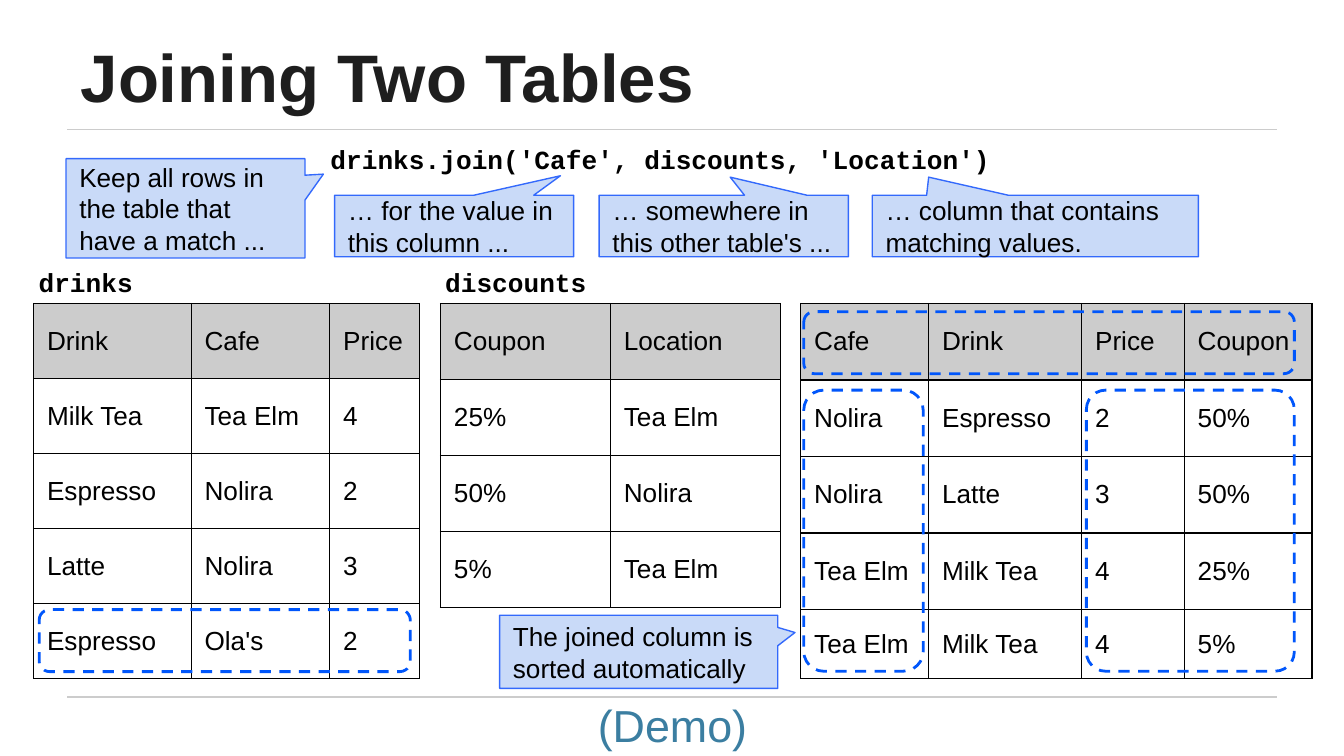
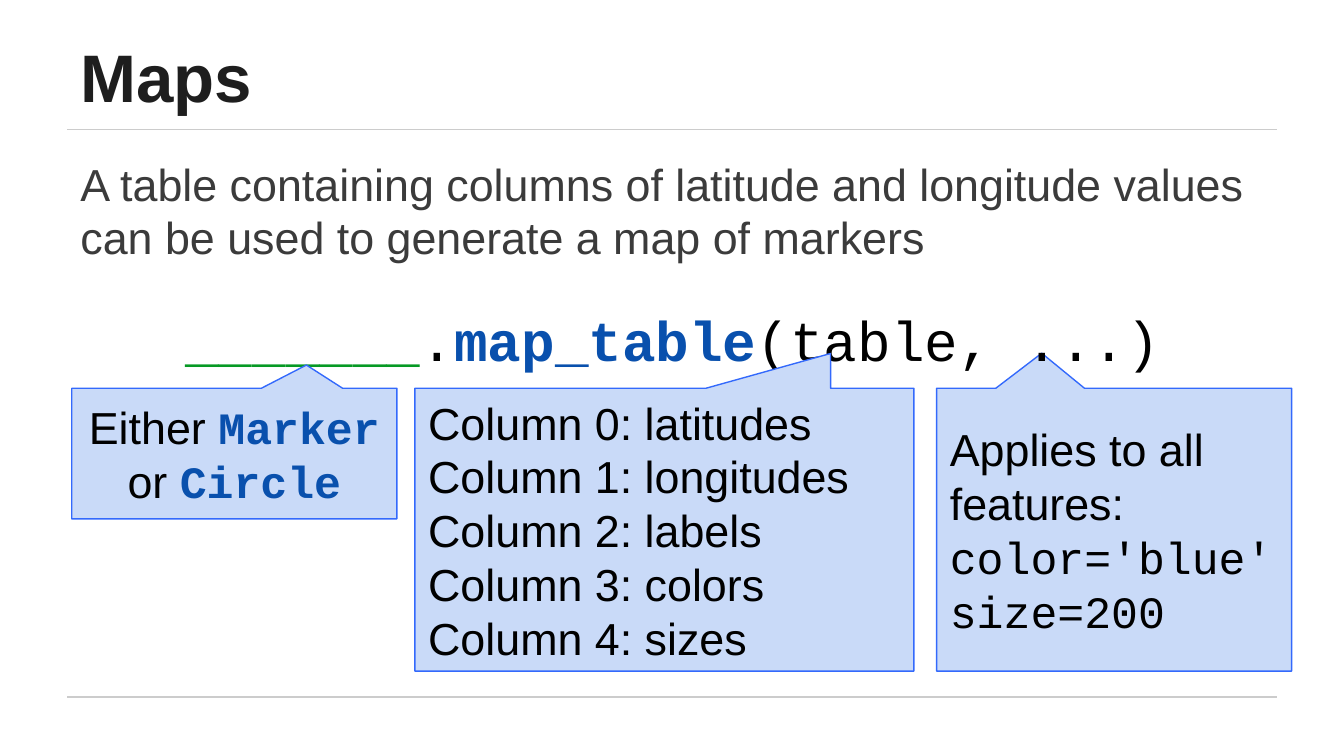
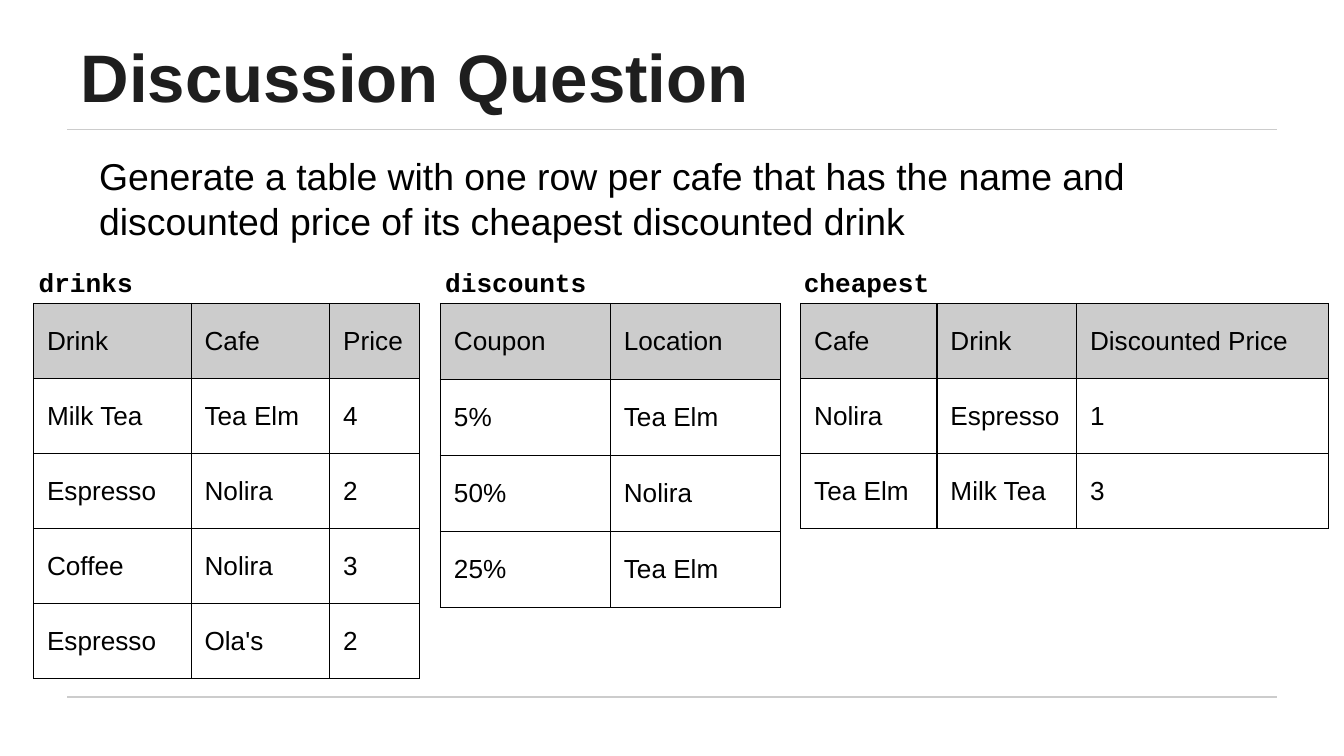
"""Build three lecture slides on joining tables, maps and a discussion question."""
from lxml import etree
from pptx import Presentation
from pptx.dml.color import RGBColor
from pptx.enum.dml import MSO_LINE
from pptx.enum.shapes import MSO_CONNECTOR, MSO_SHAPE
from pptx.enum.text import MSO_ANCHOR, MSO_AUTO_SIZE, PP_ALIGN
from pptx.oxml import parse_xml
from pptx.oxml.ns import qn
from pptx.util import Pt

DRAWING = "http://schemas.openxmlformats.org/drawingml/2006/main"
BLACK, GREY, BLUE = "000000", "CCCCCC", "0950AD"
TITLE = {"name": "Arial", "size": Pt(36), "bold": True, "color": "1E1E1E"}
SMALL = {"name": "Arial", "size": Pt(14), "bold": False, "color": BLACK}
MEDIUM = {**SMALL, "size": Pt(20)}
LARGE = {**SMALL, "size": Pt(24)}
BODY = {**LARGE, "color": "3B3B3B"}
DEMO = {**LARGE, "color": "3B7EA1"}
SMALL_CODE = {**SMALL, "name": "Courier New", "bold": True}
LARGE_CODE = {**LARGE, "name": "Courier New"}
CLASS_NAME = {**LARGE_CODE, "bold": True, "color": BLUE}
CALL = {**LARGE_CODE, "size": Pt(30)}
METHOD = {**CALL, "bold": True, "color": BLUE}
BLANK = {**METHOD, "color": "069924"}
LEFT = {"alignment": PP_ALIGN.LEFT}
CENTER = {"alignment": PP_ALIGN.CENTER}


def paint(fill, color):
    """Give a fill one solid colour."""
    fill.solid()
    fill.fore_color.rgb = RGBColor.from_string(color)


def write(frame, paragraphs, layout=LEFT):
    """Fill a text frame with paragraphs made of (text, style) spans."""
    for index, spans in enumerate(paragraphs):
        para = frame.add_paragraph() if index else frame.paragraphs[0]
        for key, value in layout.items():
            setattr(para, key, value)
        for text, style in spans:
            span = para.add_run()
            span.text = text
            for key in ("name", "size", "bold"):
                setattr(span.font, key, style[key])
            paint(span.font.fill, style["color"])


deck = Presentation()
deck.slide_width, deck.slide_height = Pt(720), Pt(405)
margins = {f"margin_{side}": Pt(7.2) for side in ("left", "right", "top", "bottom")}
frame_values = {"word_wrap": True, "auto_size": MSO_AUTO_SIZE.NONE, **margins}

pages = []
for heading in ("Joining Two Tables", "Maps", "Discussion Question"):
    page = deck.slides.add_slide(deck.slide_layouts[5])
    pages.append(page)
    for height in (69.4, 373.5):
        rule = page.shapes.add_connector(MSO_CONNECTOR.STRAIGHT, Pt(36), Pt(height), Pt(684), Pt(height))
        paint(rule.line.fill, GREY)
        rule.line.width = Pt(0.75)
        etree.SubElement(rule.element.spPr, qn("a:effectLst"))
    title = page.shapes.title
    title.left, title.top, title.width, title.height = Pt(36), Pt(16.4), Pt(527.8), Pt(53)
    for key, value in frame_values.items():
        setattr(title.text_frame, key, value)
    title.text_frame.vertical_anchor = MSO_ANCHOR.BOTTOM
    write(title.text_frame, [[(heading, TITLE)]])
joining, maps, question = pages

tables = []
for page, third_drink, coupons in (
    (joining, "Latte", ("25%", "50%", "5%")),
    (question, "Coffee", ("5%", "50%", "25%")),
):
    tables.append((page, 18, (84.4, 74.3, 48.2), [40.2] * 5, [
        ("Drink", "Cafe", "Price"),
        ("Milk Tea", "Tea Elm", "4"),
        ("Espresso", "Nolira", "2"),
        (third_drink, "Nolira", "3"),
        ("Espresso", "Ola's", "2"),
    ]))
    tables.append((page, 236, (91, 91), [40.7] * 4, [
        ("Coupon", "Location"),
        *zip(coupons, ("Tea Elm", "Nolira", "Tea Elm")),
    ]))
tables.append((joining, 429, (68.5, 82, 55, 68.4), [41] * 4 + [37], [
    ("Cafe", "Drink", "Price", "Coupon"),
    ("Nolira", "Espresso", "2", "50%"),
    ("Nolira", "Latte", "3", "50%"),
    ("Tea Elm", "Milk Tea", "4", "25%"),
    ("Tea Elm", "Milk Tea", "4", "5%"),
]))
tables.append((question, 429, (73, 74.8, 134.8), [40.2] * 3, [
    ("Cafe", "Drink", "Discounted Price"),
    ("Nolira", "Espresso", "1"),
    ("Tea Elm", "Milk Tea", "3"),
]))

for page, left, widths, heights, rows in tables:
    table = page.shapes.add_table(
        len(rows), len(widths), Pt(left), Pt(162.6), Pt(sum(widths)), Pt(sum(heights))
    ).table
    table.first_row = table.horz_banding = False
    for column, width in zip(table.columns, widths):
        column.width = Pt(width)
    for row, height, values in zip(table.rows, heights, rows):
        row.height = Pt(height)
        for cell, value in zip(row.cells, values):
            for side in "LRTB":
                cell._tc.get_or_add_tcPr().append(parse_xml(
                    f'<a:ln{side} xmlns:a="{DRAWING}" w="{Pt(0.75)}"><a:solidFill>'
                    f'<a:srgbClr val="{BLACK}"/></a:solidFill></a:ln{side}>'
                ))
            if values is rows[0]:
                paint(cell.fill, GREY)
            else:
                cell.fill.background()
            for key, margin in margins.items():
                setattr(cell, key, margin)
            cell.vertical_anchor = MSO_ANCHOR.MIDDLE
            write(cell.text_frame, [[(value, SMALL)]])

square, rounded = MSO_SHAPE.RECTANGULAR_CALLOUT, MSO_SHAPE.ROUNDED_RECTANGULAR_CALLOUT
items = [
    (joining, None, (170, 69.8, 380, 29.5), (),
     [[("drinks.join('Cafe', discounts, 'Location')", SMALL_CODE)]], LEFT),
    (joining, None, (296.6, 366.5, 127.4, 38.5), (), [[("(Demo)", DEMO)]], CENTER),
    (maps, rounded, (501.8, 208, 190.2, 151.5), (-0.204, -0.624, 0), [
        [("Applies to all features:", LARGE)],
        [("color='blue'", LARGE_CODE)],
        [("size=200", LARGE_CODE)],
    ], LEFT),
    (maps, None, (36, 76.5, 648, 80), (),
     [[("A table containing columns of latitude and longitude values can be used "
        "to generate a map of markers", BODY)]], {**LEFT, "space_after": Pt(4)}),
    (maps, None, (42.5, 141.6, 635.8, 60.5), (),
     [[("_______", BLANK), (".", CALL), ("map_table", METHOD), ("(table, ...)", CALL)]],
     {**CENTER, "line_spacing": 1.42}),
    (maps, rounded, (38.4, 208, 174.2, 70), (0.222, -0.678, 0),
     [[("Either ", LARGE), ("Marker", CLASS_NAME), (" or ", LARGE), ("Circle", CLASS_NAME)]], CENTER),
    (maps, rounded, (222.3, 208, 267.3, 151.5), (0.333, -0.623, 0),
     [[(f"Column {index}: {content}", LARGE)] for index, content in
      enumerate(("latitudes", "longitudes", "labels", "colors", "sizes"))], LEFT),
    (question, None, (46, 74.8, 651, 50.4), (),
     [[("Generate a table with one row per cafe that has the name and discounted price "
        "of its cheapest discounted drink", MEDIUM)]], LEFT),
]
for page in (joining, question):
    for left, label in ((13.6, "drinks"), (231.4, "discounts"), (423.5, "cheapest")):
        if page is question or label != "cheapest":
            items.append((page, None, (left, 135.4, 101.5, 29.5), (), [[(label, SMALL_CODE)]], LEFT))
for bounds, tail, note in (
    ((35.4, 85, 128, 53.2), (0.577, -0.344), "Keep all rows in the table that have a match ..."),
    ((179.3, 104.6, 128, 33), (0.445, -0.816), "… for the value in this column ..."),
    ((321, 104.6, 133.5, 33), (0.026, -0.793), "… somewhere in this other table's ..."),
    ((467.3, 104.6, 174.7, 33), (-0.327, -0.793), "… column that contains matching values."),
    ((267.7, 329.6, 149, 39.2), (0.562, -0.264), "The joined column is sorted automatically"),
):
    items.append((joining, square, bounds, tail, [[(note, SMALL)]], LEFT))

for page, preset, bounds, tail, paragraphs, layout in items:
    area = [Pt(value) for value in bounds]
    if preset is None:
        box = page.shapes.add_textbox(*area)
    else:
        box = page.shapes.add_shape(preset, *area)
        box.shadow.inherit = False
        paint(box.fill, "C9DAF8")
        paint(box.line.fill, "3369FC")
        box.line.width = Pt(0.75)
        for index, value in enumerate(tail):
            box.adjustments[index] = value
    for key, value in frame_values.items():
        setattr(box.text_frame, key, value)
    box.text_frame.vertical_anchor = MSO_ANCHOR.MIDDLE if preset else MSO_ANCHOR.TOP
    write(box.text_frame, paragraphs, layout)

for bounds, rounding in (
    ((21, 326.6, 198.8, 33.2), 0.167),
    ((430.6, 167, 262.8, 33.2), 0.167),
    ((430.6, 209, 64, 150.6), 0.167),
    ((582, 209, 111.4, 150.6), 0.093),
):
    outline = joining.shapes.add_shape(MSO_SHAPE.ROUNDED_RECTANGLE, *[Pt(value) for value in bounds])
    outline.shadow.inherit = False
    outline.adjustments[0] = rounding
    outline.fill.background()
    paint(outline.line.fill, "0056FB")
    outline.line.width = Pt(1.5)
    outline.line.dash_style = MSO_LINE.DASH

deck.save("out.pptx")
